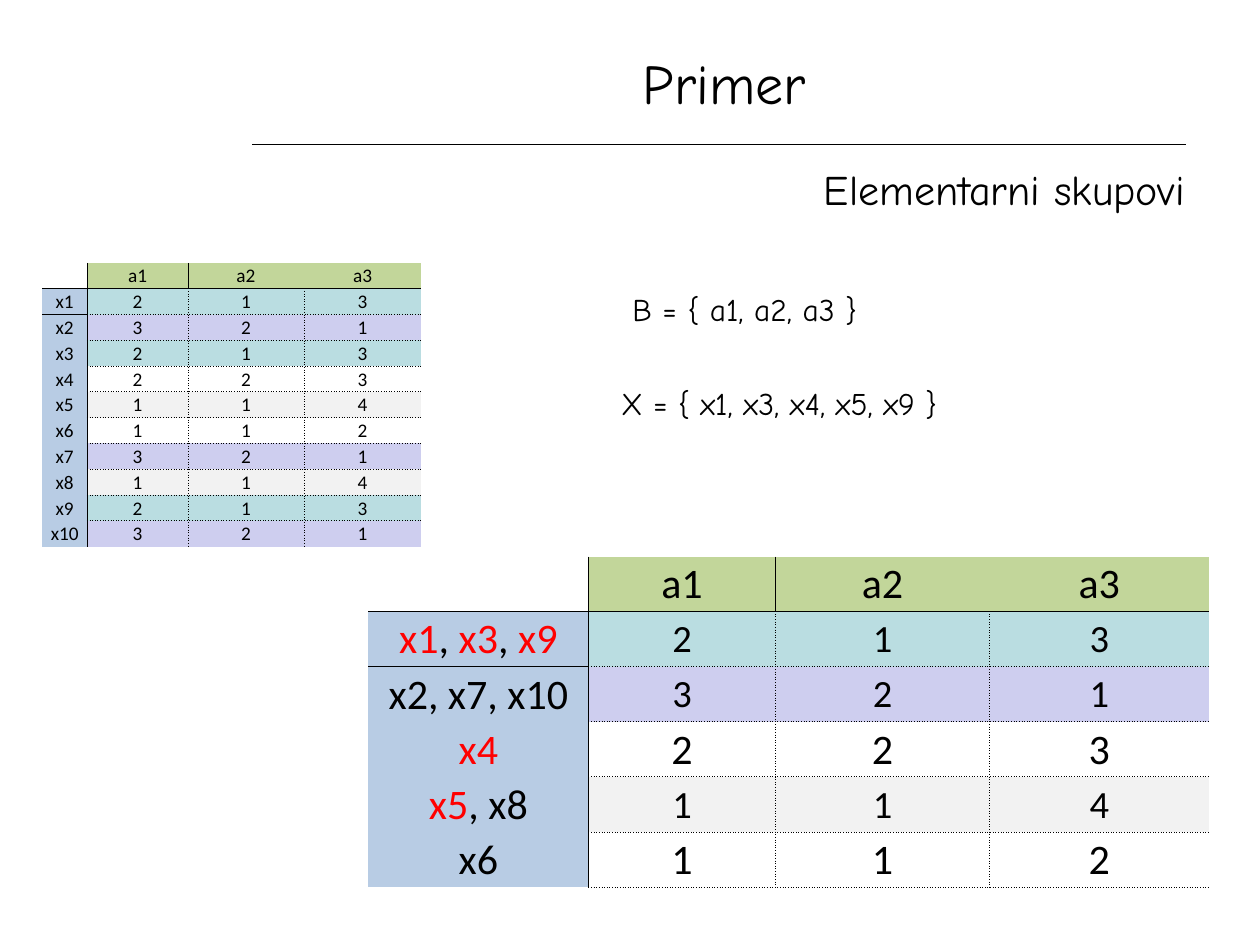
"""Build the slide on elementary sets: an object table and its classes of equal rows."""
from lxml import etree
from pptx import Presentation
from pptx.dml.color import RGBColor
from pptx.enum import shapes, text
from pptx.oxml import ns
from pptx.util import Cm, Pt

COLORS = {"ink": "000000", "chosen": "FF0000", "header": "C2D69A", "names": "B8CCE4"}
ROW_FILLS = {(2, 1, 3): "BADDE1", (3, 2, 1): "CECEEF", (1, 1, 4): "F2F2F2"}
HAND, PLAIN = "Comic Neue", "Calibri"
NO_STYLE = "{2D5ABB26-0587-4C30-8999-92F81FD0307C}"

ATTRIBUTES = ["a1", "a2", "a3"]
OBJECTS = {
    "x1": (2, 1, 3), "x2": (3, 2, 1), "x3": (2, 1, 3), "x4": (2, 2, 3), "x5": (1, 1, 4),
    "x6": (1, 1, 2), "x7": (3, 2, 1), "x8": (1, 1, 4), "x9": (2, 1, 3), "x10": (3, 2, 1),
}
CHOSEN = ["x1", "x3", "x4", "x5", "x9"]

TITLE = {"words": "Primer", "at": (5.08, 0.71, 19.05, 1.9), "size": 32,
         "align": text.PP_ALIGN.CENTER, "anchor": text.MSO_ANCHOR.MIDDLE}
NOTES = [
    {"words": "Elementarni skupovi", "at": (8.05, 3.18, 16.08, 1.27), "size": 24,
     "align": text.PP_ALIGN.RIGHT, "before": 4.8},
    {"words": "X = { " + ", ".join(CHOSEN) + " }", "at": (12.27, 7.62, 9.1, 1.02), "size": 18},
    {"words": "B = { " + ", ".join(ATTRIBUTES) + " }", "at": (12.5, 5.72, 9.1, 1.02), "size": 18},
]
RULE = (5.08, 2.92, 23.9, 2.92)

CLASS_TABLE = {"at": (7.42, 11.22), "columns": (4.45, 3.76, 4.32, 4.42), "row": 1.11,
               "size": 24, "shaded_size": 22, "chosen": CHOSEN, "closed": True}
OBJECT_TABLE = {"at": (0.85, 5.3), "columns": (0.91, 2.03, 2.34, 2.36), "row": 0.52,
                "size": 11, "shaded_size": 11, "chosen": [], "closed": False}


def add_span(para, words, size, font, color="ink"):
    span = para.add_run()
    span.text = words
    for name, value in {"size": Pt(size), "name": font}.items():
        setattr(span.font, name, value)
    span.font.color.rgb = RGBColor.from_string(COLORS[color])


def write_box(box, note):
    box.left, box.top, box.width, box.height = map(Cm, note["at"])
    frame = box.text_frame
    frame.word_wrap = True
    frame.vertical_anchor = note.get("anchor", text.MSO_ANCHOR.TOP)
    para = frame.paragraphs[0]
    para.alignment = note.get("align", text.PP_ALIGN.LEFT)
    para.space_before = Pt(note.get("before", 0))
    add_span(para, note["words"], note["size"], HAND)


def add_borders(cell, sides):
    props = cell._tc.get_or_add_tcPr()
    for side in "LRTB":
        if side in sides:
            line = etree.SubElement(props, ns.qn("a:ln" + side), w=str(Pt(0.5)))
            fill = etree.SubElement(line, ns.qn("a:solidFill"))
            etree.SubElement(fill, ns.qn("a:srgbClr"), val=COLORS["ink"])
            etree.SubElement(line, ns.qn("a:prstDash"), val=sides[side])


def cell_sides(row, column, last_row, last_column, closed):
    """Name the dash on each side: solid around the headings, dotted inside."""
    sides = {}
    if column < last_column and (row or not column):
        sides["R"] = "sysDot" if column else "solid"
    if column and (row or column == 1):
        sides["L"] = "solid" if column == 1 else "sysDot"
    if row == 0:
        sides["B"] = "solid"
    elif row == 1 or column:
        sides["T"] = "solid" if row == 1 else "sysDot"
    if row and column and (row < last_row or closed):
        sides["B"] = "sysDot"
    return sides


def fill_cell(cell, words, size, fill, sides, chosen):
    for name, value in {"margin_left": Cm(0.02), "margin_right": Cm(0.02), "margin_top": Cm(0.02),
                        "margin_bottom": 0, "vertical_anchor": text.MSO_ANCHOR.MIDDLE}.items():
        setattr(cell, name, value)
    add_borders(cell, sides)
    if fill:
        cell.fill.solid()
        cell.fill.fore_color.rgb = RGBColor.from_string(fill)
    else:
        cell.fill.background()
    para = cell.text_frame.paragraphs[0]
    para.alignment = text.PP_ALIGN.CENTER
    for index, word in enumerate(words):
        if index:
            add_span(para, ", ", size, PLAIN)
        add_span(para, word, size, PLAIN, "chosen" if word in chosen else "ink")
    if not words:
        etree.SubElement(para._p, ns.qn("a:endParaRPr"), sz=str(size * 100))


def add_grid(page, rows, look):
    """Draw rows of (names, values) under the attribute headings."""
    columns, height = look["columns"], look["row"]
    count = len(rows) + 1
    frame = page.shapes.add_table(count, len(columns), *map(Cm, look["at"]),
                                  Cm(sum(columns)), Cm(height * count))
    frame._element.find(".//" + ns.qn("a:tableStyleId")).text = NO_STYLE
    table = frame.table
    table.first_row = table.horz_banding = False
    for column, width in zip(table.columns, columns):
        column.width = Cm(width)
    for r, (names, values) in enumerate([([], ATTRIBUTES), *rows]):
        table.rows[r].height = Cm(height)
        shade = ROW_FILLS.get(values) if r else COLORS["header"]
        value_size = look["shaded_size"] if r and shade else look["size"]
        for c, words in enumerate([names, *([str(value)] for value in values)]):
            fill = shade if c else (COLORS["names"] if r else None)
            fill_cell(table.cell(r, c), words, value_size if c else look["size"], fill,
                      cell_sides(r, c, count - 1, len(columns) - 1, look["closed"]),
                      look["chosen"])


def main():
    deck = Presentation()
    deck.slide_width, deck.slide_height = Cm(25.4), Cm(19.05)
    page = deck.slides.add_slide(deck.slide_layouts[5])

    rule = page.shapes.add_connector(shapes.MSO_CONNECTOR.STRAIGHT, *map(Cm, RULE))
    rule.line.color.rgb = RGBColor.from_string(COLORS["ink"])
    rule.line.width = Pt(0.75)
    etree.SubElement(rule._element.spPr, ns.qn("a:effectLst"))

    write_box(page.shapes.title, TITLE)
    for note in NOTES:
        write_box(page.shapes.add_textbox(0, 0, 0, 0), note)

    classes = {}
    for name, values in OBJECTS.items():
        classes.setdefault(values, []).append(name)
    add_grid(page, [(names, values) for values, names in classes.items()], CLASS_TABLE)
    add_grid(page, [([name], values) for name, values in OBJECTS.items()], OBJECT_TABLE)
    deck.save("out.pptx")


if __name__ == "__main__":
    main()
